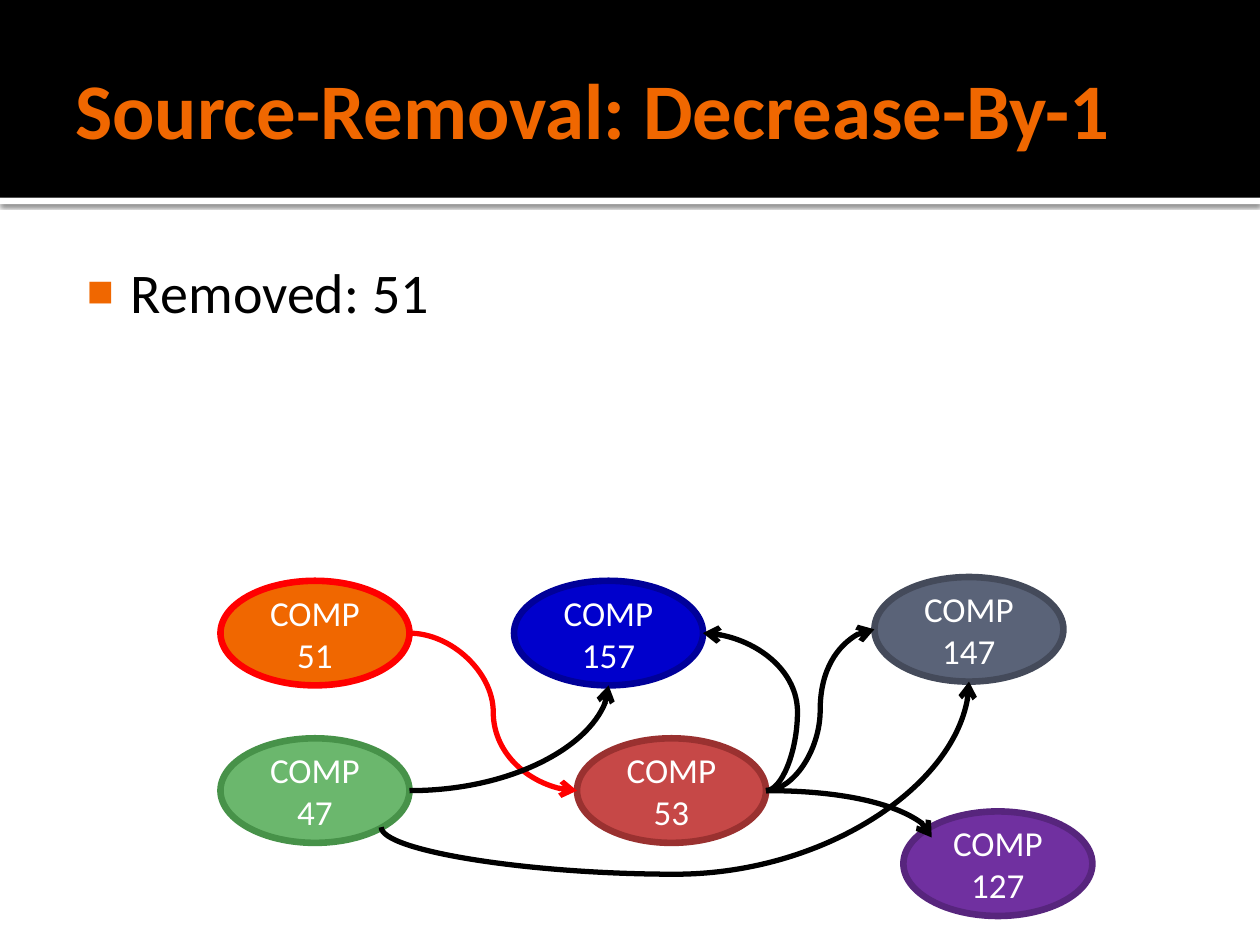
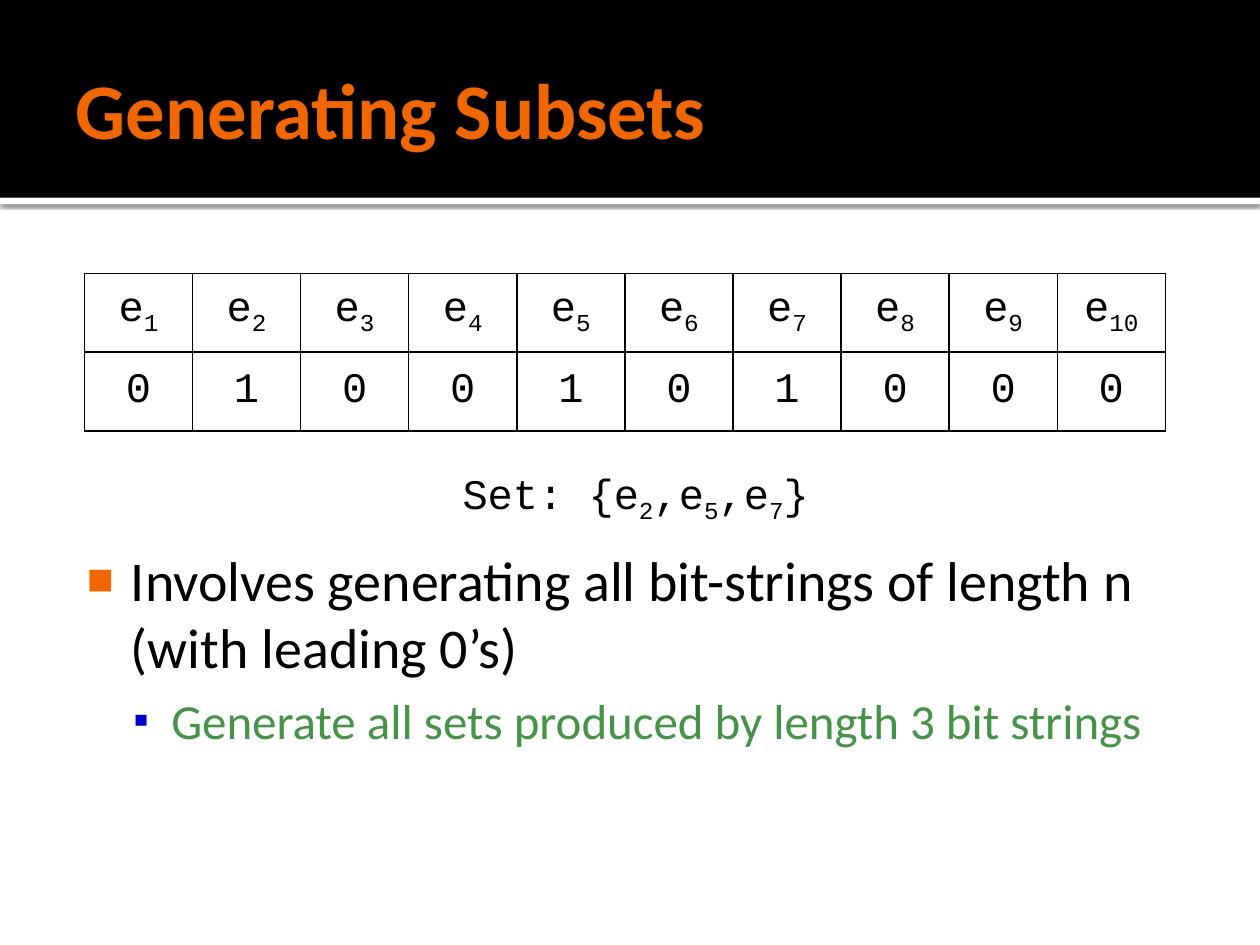
from lxml.etree import SubElement
from pptx import Presentation
from pptx.dml.color import RGBColor
from pptx.enum.shapes import MSO_CONNECTOR, MSO_SHAPE
from pptx.enum.text import MSO_ANCHOR, PP_ALIGN
from pptx.oxml.ns import qn
from pptx.util import Inches, Pt

ORANGE, BLACK, WHITE, RED = "F06700", "000000", "FFFFFF", "FF0000"
BLUE, GREEN = "0000CC", "479249"
SANS, MONO = "Calibri", "Courier New"
TITLE = {"name": SANS, "size": Pt(45), "bold": True}
BODY = {"name": SANS, "size": Pt(32)}
SUB = {"name": SANS, "size": Pt(28)}
LABEL = {"name": SANS, "size": Pt(20)}
CODE = {"name": MONO, "size": Pt(24)}
BOX = (0.5, 1.94, 9, 5.06)

NODE_W, NODE_H = 1.5, 0.83
NODES = {
    "51": (1.75, 4.61, ORANGE, RED),
    "47": (1.75, 5.86, "6BB76D", GREEN),
    "53": (4.58, 5.86, "C64847", "9A3130"),
    "157": (4.08, 4.61, BLUE, "000099"),
    "127": (7.17, 6.44, "7030A0", "57257D"),
    "147": (6.94, 4.58, "5A6378", "444A5A"),
}
LEFT, RIGHT, BOTTOM = (0, 0.5), (1, 0.5), (0.5, 1)
UPPER, LOWER = (0.15, 0.25), (0.85, 0.85)
EDGES = [
    ("51", RIGHT, "53", LEFT, RED, 3, 50, False),
    ("53", RIGHT, "127", UPPER, BLACK, 2, None, False),
    ("53", RIGHT, "147", LEFT, BLACK, 3, 50, False),
    ("53", RIGHT, "157", RIGHT, BLACK, 3, -50, False),
    ("47", RIGHT, "157", BOTTOM, BLACK, 2, None, False),
    ("47", LOWER, "147", BOTTOM, BLACK, 3, -32.3, True),
]


def color(code):
    return RGBColor.from_string(code)


def inch(*sizes):
    return [Inches(size) for size in sizes]


def child(node, tag, **attrs):
    return SubElement(node, qn(tag), attrs)


def style(item, form):
    for key, value in form.items():
        setattr(item, key, value)


def write(para, text, form, tint, base=0):
    run = para.add_run()
    run.text = text
    style(run.font, form)
    run.font.color.rgb = color(tint)
    if base:
        run.font._element.set("baseline", str(base * 1000))


def index(para, parts):
    for place, part in enumerate(parts):
        write(para, part, CODE, BLACK, -25 if place % 2 else 0)


def shape(slide, kind, box, fill):
    item = slide.shapes.add_shape(kind, *inch(*box))
    item.shadow.inherit = False
    item.fill.solid()
    item.fill.fore_color.rgb = color(fill)
    item.line.fill.background()
    return item


def frame(slide, box, pads, anchor=MSO_ANCHOR.TOP):
    text = slide.shapes.add_textbox(*inch(*box)).text_frame
    sides = ("left", "top", "right", "bottom")
    form = {f"margin_{side}": Inches(pad) for side, pad in zip(sides, pads)}
    style(text, {"word_wrap": True, "vertical_anchor": anchor, **form})
    return text


def body(slide, box):
    return frame(slide, box, (0.06, 0.1, 0.1, 0.05))


def indent(para, left, hang=0):
    props = para._p.get_or_add_pPr()
    props.set("marL", str(Inches(left)))
    props.set("indent", str(Inches(-hang)))
    return props


def bullet(para, left, hang, mark, tint, scale):
    props = indent(para, left, hang)
    child(child(props, "a:buClr"), "a:srgbClr", val=tint)
    child(props, "a:buSzPct", val=str(scale * 1000))
    child(props, "a:buFont", typeface="Arial")
    child(props, "a:buChar", char=mark)


def point(para, text):
    bullet(para, 0.48, 0.35, "■", ORANGE, 80)
    write(para, text, BODY, BLACK)


def header(slide, text):
    strip = shape(slide, MSO_SHAPE.RECTANGLE, (0, 1.57, 10, 0.05), WHITE)
    glow = child(strip._element.spPr.find(qn("a:effectLst")), "a:outerShdw",
                 blurRad=str(Pt(2.5)), dist=str(Pt(0.8)), dir="5400000",
                 algn="t", rotWithShape="0")
    child(child(glow, "a:srgbClr", val=BLACK), "a:alpha", val="60000")
    shape(slide, MSO_SHAPE.RECTANGLE, (0, 0, 10, 1.57), BLACK)
    title = frame(slide, (0.5, 0.17, 9, 1.37), (0.1, 0.05, 0.05, 0.05),
                  MSO_ANCHOR.MIDDLE)
    write(title.paragraphs[0], text, TITLE, ORANGE)


def node(slide, name):
    left, top, fill, edge = NODES[name]
    item = shape(slide, MSO_SHAPE.OVAL, (left, top, NODE_W, NODE_H), fill)
    item.line.color.rgb = color(edge)
    item.line.width = Pt(3.78)
    style(item.text_frame,
          {"word_wrap": True, "vertical_anchor": MSO_ANCHOR.MIDDLE})
    para = item.text_frame.paragraphs[0]
    para.alignment = PP_ALIGN.CENTER
    write(para, f"COMP {name}", LABEL, WHITE)


def anchor(name, side):
    left, top = NODES[name][:2]
    return left + NODE_W * side[0], top + NODE_H * side[1]


def turn(start, end):
    mid_x, mid_y = (start[0] + end[0]) / 2, (start[1] + end[1]) / 2
    half_w, half_h = abs(end[1] - start[1]) / 2, abs(end[0] - start[0]) / 2
    return (mid_x + half_w, mid_y + half_h), (mid_x - half_w, mid_y - half_h)


def curve(slide, head, out, tail, into, tint, bends, bow, turned):
    start, end = anchor(head, out), anchor(tail, into)
    if turned:
        start, end = turn(start, end)
    link = slide.shapes.add_connector(MSO_CONNECTOR.CURVE,
                                      *inch(*start, *end))
    link.line.color.rgb = color(tint)
    link.line.width = Pt(3)
    props = link._element.spPr
    if turned:
        props.find(qn("a:xfrm")).set("rot", "5400000")
    geom = props.find(qn("a:prstGeom"))
    geom.set("prst", f"curvedConnector{bends}")
    if bow is not None:
        child(geom.find(qn("a:avLst")), "a:gd", name="adj1",
              fmla=f"val {round(bow * 1000)}")
    child(props.find(qn("a:ln")), "a:tailEnd", type="arrow")
    child(props, "a:effectLst")


def border(cell):
    props = cell._tc.get_or_add_tcPr()
    for place, side in enumerate(("L", "R", "T", "B")):
        line = props.makeelement(qn(f"a:ln{side}"), {"w": str(Pt(1))})
        child(child(line, "a:solidFill"), "a:srgbClr", val=BLACK)
        props.insert(place, line)


def grid(slide, box, bits):
    table = slide.shapes.add_table(2, len(bits), *inch(*box)).table
    style(table, {"first_row": False, "horz_banding": False})
    for col, bit in enumerate(bits):
        for row, parts in enumerate((("e", str(col + 1)), (bit,))):
            cell = table.cell(row, col)
            cell.fill.background()
            cell.vertical_anchor = MSO_ANCHOR.MIDDLE
            border(cell)
            para = cell.text_frame.paragraphs[0]
            para.alignment = PP_ALIGN.CENTER
            index(para, parts)


def graph(slide):
    header(slide, "Source-Removal: Decrease-By-1")
    point(body(slide, BOX).paragraphs[0], "Removed: 51")
    for name in NODES:
        node(slide, name)
    for edge in EDGES:
        curve(slide, *edge)


def subset(slide):
    header(slide, "Generating Subsets")
    left, top, width, height = BOX
    drop = 1.67
    text = body(slide, (left, top + drop, width, height - drop))
    para = text.paragraphs[0]
    indent(para, 0.13)
    style(para, {"alignment": PP_ALIGN.CENTER, "space_after": Pt(12)})
    index(para, ("Set: {e", "2", ",e", "5", ",e", "7", "}"))
    point(text.add_paragraph(),
          "Involves generating all bit-strings of length n (with leading 0’s)")
    para = text.add_paragraph()
    bullet(para, 0.8, 0.3, "▪", BLUE, 90)
    style(para, {"level": 1, "space_before": Pt(5.6)})
    write(para, "Generate all sets produced by length 3 bit strings", SUB, GREEN)
    grid(slide, (0.67, 2.17, 8.58, 1.25), "0100101000")


def main():
    deck = Presentation()
    style(deck, {"slide_width": Inches(10), "slide_height": Inches(7.5)})
    for build in (graph, subset):
        build(deck.slides.add_slide(deck.slide_layouts[6]))
    deck.save("out.pptx")


if __name__ == "__main__":
    main()
